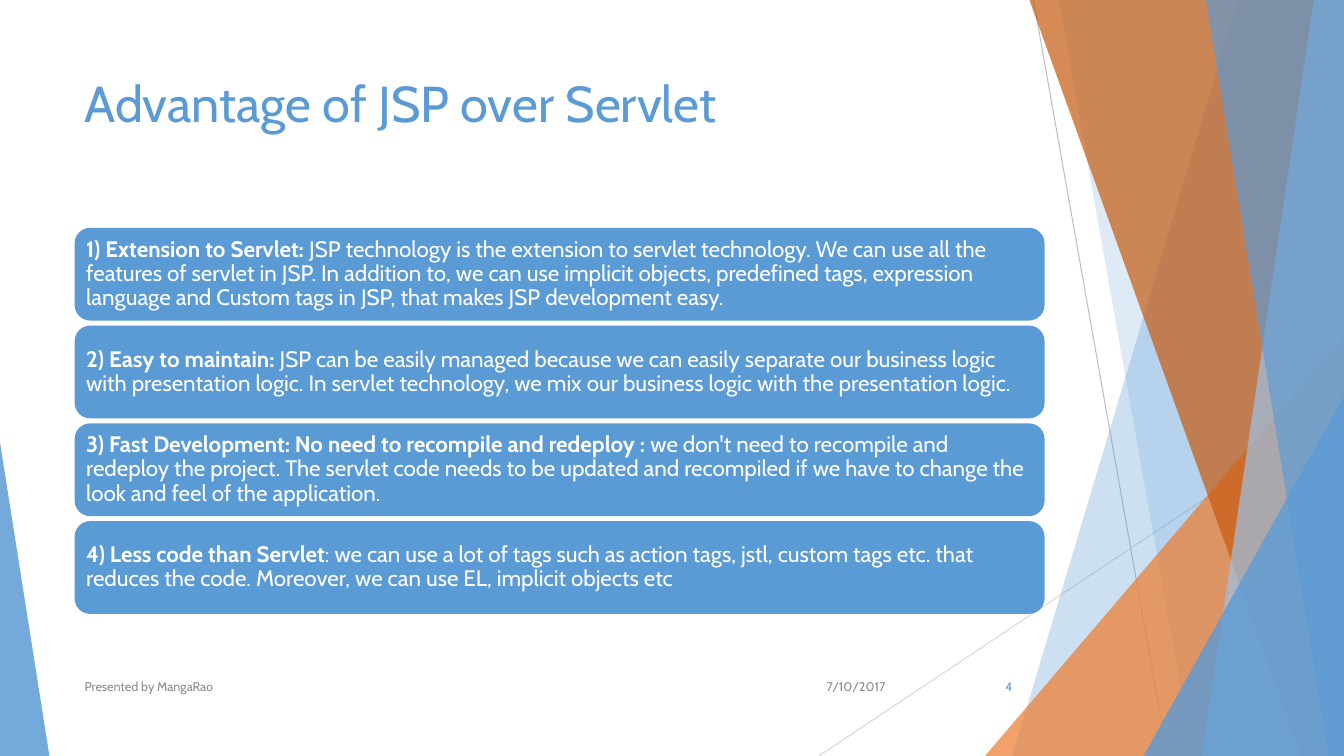
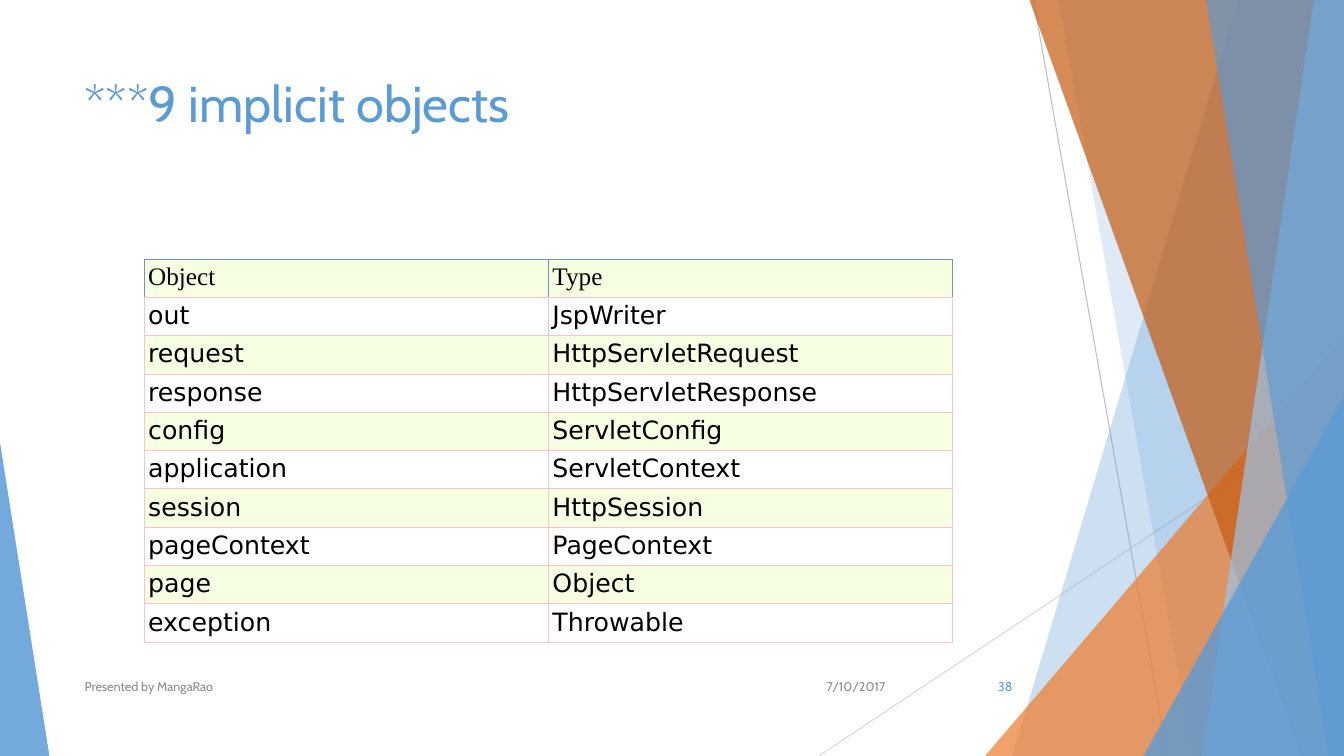
"""Build two slides on JSP: its advantages over servlets and its implicit objects."""
from lxml import etree
from pptx import Presentation
from pptx import util as u
from pptx.dml.color import RGBColor
from pptx.enum import shapes, text
from pptx.oxml import ns

BLUE = RGBColor(0x5B, 0x9B, 0xD5)
LIGHT_BLUE = RGBColor(0x9D, 0xC3, 0xE6)
ORANGE = RGBColor(0xED, 0x7D, 0x31)
RUST = RGBColor(0xC5, 0x5A, 0x11)
GREY = RGBColor(0x8C, 0x8C, 0x8C)
RAY_DARK = RGBColor(0xBF, 0xBF, 0xBF)
RAY_PALE = RGBColor(0xD9, 0xD9, 0xD9)
WHITE = RGBColor(0xFF, 0xFF, 0xFF)
BLACK = RGBColor(0, 0, 0)
LIME = RGBColor(0xF6, 0xFF, 0xE1)
PINK = RGBColor(0xFF, 0xC0, 0xCB)
STEEL = RGBColor(0x78, 0x91, 0xB6)

FONT = "Cabin"
WIDTH, HEIGHT = 13.33, 7.5
LEFT = 0.74

RAYS = [
    ((10.25, 0), (11.58, HEIGHT), RAY_DARK),
    ((WIDTH, 4.03), (8.12, HEIGHT), RAY_PALE),
]
# Bands run from a top x and a bottom x to the right edge; wedges have a box and an apex.
FACETS = [
    ("band", (12.28, 10.04), BLUE, 30),
    ("band", (10.5, 11.83), BLUE, 20),
    ("wedge", (9.77, 3.33, 3.56, 1), ORANGE, 72),
    ("band", (10.21, 12.91), RUST, 70),
    ("band", (13.03, 11.92), LIGHT_BLUE, 70),
    ("band", (11.96, 13.18), BLUE, 65),
    ("wedge", (11.34, 3.93, 1.99, 1), BLUE, 80),
    ("wedge", (0, 4.39, 0.49, 0), BLUE, 85),
]

DATE = "7/10/2017"
PRESENTER = "Presented by MangaRao"

ADVANTAGES = [
    ("1) Extension to Servlet: ",
     "JSP technology is the extension to servlet technology. We can use all the features "
     "of servlet in JSP. In addition to, we can use implicit objects, predefined tags, "
     "expression language and Custom tags in JSP, that makes JSP development easy."),
    ("2) Easy to maintain: ",
     "JSP can be easily managed because we can easily separate our business logic with "
     "presentation logic. In servlet technology, we mix our business logic with the "
     "presentation logic."),
    ("3) Fast Development: No need to recompile and redeploy : ",
     "we don't need to recompile and redeploy the project. The servlet code needs to be "
     "updated and recompiled if we have to change the look and feel of the application."),
    ("4) Less code than Servlet",
     ": we can use a lot of tags such as action tags, jstl, custom tags etc. that reduces "
     "the code. Moreover, we can use EL, implicit objects etc"),
]

IMPLICIT_OBJECTS = [
    ("Object", "Type"),
    ("out", "JspWriter"),
    ("request", "HttpServletRequest"),
    ("response", "HttpServletResponse"),
    ("config", "ServletConfig"),
    ("application", "ServletContext"),
    ("session", "HttpSession"),
    ("pageContext", "PageContext"),
    ("page", "Object"),
    ("exception", "Throwable"),
]


def apply(target, formats):
    for name, value in formats.items():
        setattr(target, name, value)


def add_run(paragraph, wording, size, color, font=FONT, bold=False):
    run = paragraph.add_run()
    run.text = wording
    apply(run.font, {"name": font, "size": u.Pt(size), "bold": bold})
    run.font.color.rgb = color


def paint(shape, color, opacity=100):
    shape.shadow.inherit = False
    shape.fill.solid()
    shape.fill.fore_color.rgb = color
    shape.line.fill.background()
    if opacity < 100:
        fill_color = next(shape.element.spPr.iter(ns.qn("a:srgbClr")))
        etree.SubElement(fill_color, ns.qn("a:alpha"), val=str(opacity * 1000))


def add_label(slide, box, wording, size, color, anchor=text.MSO_ANCHOR.MIDDLE,
              align=text.PP_ALIGN.LEFT):
    frame = slide.shapes.add_textbox(*map(u.Inches, box)).text_frame
    apply(frame, {"word_wrap": True, "vertical_anchor": anchor})
    frame.paragraphs[0].alignment = align
    add_run(frame.paragraphs[0], wording, size, color)


def add_backdrop(slide):
    for start, end, color in RAYS:
        ray = slide.shapes.add_connector(
            shapes.MSO_CONNECTOR.STRAIGHT, *map(u.Inches, start + end))
        ray.line.color.rgb = color
        ray.line.width = u.Pt(0.75)
        etree.SubElement(ray.element.spPr, ns.qn("a:effectLst"))
    for kind, geometry, color, opacity in FACETS:
        if kind == "band":
            top_x, bottom_x = geometry
            outline = slide.shapes.build_freeform(u.Inches(top_x), 0)
            corners = [(WIDTH, 0), (WIDTH, HEIGHT), (bottom_x, HEIGHT)]
            outline.add_line_segments([tuple(map(u.Inches, corner)) for corner in corners])
            facet = outline.convert_to_shape()
        else:
            left, top, width, apex = geometry
            facet = slide.shapes.add_shape(
                shapes.MSO_SHAPE.ISOSCELES_TRIANGLE,
                *map(u.Inches, (left, top, width, HEIGHT - top)))
            facet.adjustments[0] = apex
        paint(facet, color, opacity)


def add_base_slide(deck, title, number):
    slide = deck.slides.add_slide(deck.slide_layouts[6])
    add_backdrop(slide)
    add_label(slide, (LEFT, 0.67, 9.4, 1.44), title, 36, BLUE, text.MSO_ANCHOR.TOP)
    right = text.PP_ALIGN.RIGHT
    add_label(slide, (7.88, 6.61, 1, 0.4), DATE, 9, GREY, align=right)
    add_label(slide, (LEFT, 6.61, 6.89, 0.4), PRESENTER, 9, GREY)
    add_label(slide, (9.39, 6.61, 0.75, 0.4), number, 9, BLUE, align=right)
    return slide


def add_advantages(slide):
    top, height, gap = 2.26, 0.92, 0.05
    for index, (heading, detail) in enumerate(ADVANTAGES):
        card = slide.shapes.add_shape(
            shapes.MSO_SHAPE.ROUNDED_RECTANGLE,
            *map(u.Inches, (LEFT, top + index * (height + gap), 9.62, height)))
        paint(card, BLUE)
        frame = card.text_frame
        apply(frame, {"word_wrap": True, "vertical_anchor": text.MSO_ANCHOR.MIDDLE})
        apply(frame, {f"margin_{side}": u.Inches(0.07)
                      for side in ("left", "right", "top", "bottom")})
        paragraph = frame.paragraphs[0]
        apply(paragraph, {"alignment": text.PP_ALIGN.LEFT, "line_spacing": 0.9})
        add_run(paragraph, heading, 16, WHITE, bold=True)
        add_run(paragraph, detail, 16, WHITE)


def add_borders(cell, colors):
    properties = cell._tc.get_or_add_tcPr()
    for position, (side, color) in enumerate(zip("LRTB", colors)):
        border = etree.Element(ns.qn(f"a:ln{side}"), w=str(u.Pt(0.6)))
        fill = etree.SubElement(border, ns.qn("a:solidFill"))
        etree.SubElement(fill, ns.qn("a:srgbClr"), val=str(color))
        properties.insert(position, border)


def add_implicit_objects(slide):
    head_height, row_height, column_width = 0.36, 0.37, 4.01
    height = head_height + row_height * (len(IMPLICIT_OBJECTS) - 1)
    table = slide.shapes.add_table(
        len(IMPLICIT_OBJECTS), 2,
        *map(u.Inches, (1.43, 2.57, 2 * column_width, height))).table
    apply(table, {"first_row": False, "horz_banding": False})
    for column in table.columns:
        column.width = u.Inches(column_width)
    for row, names in enumerate(IMPLICIT_OBJECTS):
        is_head = row == 0
        table.rows[row].height = u.Inches(head_height if is_head else row_height)
        for column, name in enumerate(names):
            cell = table.cell(row, column)
            apply(cell, {f"margin_{side}": u.Inches(0.04)
                         for side in ("left", "right", "top", "bottom")})
            cell.fill.solid()
            cell.fill.fore_color.rgb = WHITE if row % 2 else LIME
            add_borders(cell, [STEEL] * 3 + [PINK] if is_head else [PINK] * 4)
            add_run(cell.text_frame.paragraphs[0], name, 18, BLACK,
                    "Times New Roman" if is_head else "DejaVu Sans")


def main():
    deck = Presentation()
    apply(deck, {"slide_width": u.Inches(WIDTH), "slide_height": u.Inches(HEIGHT)})
    add_advantages(add_base_slide(deck, "Advantage of JSP over Servlet", "4"))
    add_implicit_objects(add_base_slide(deck, "***9 implicit objects", "38"))
    deck.save("out.pptx")


if __name__ == "__main__":
    main()
